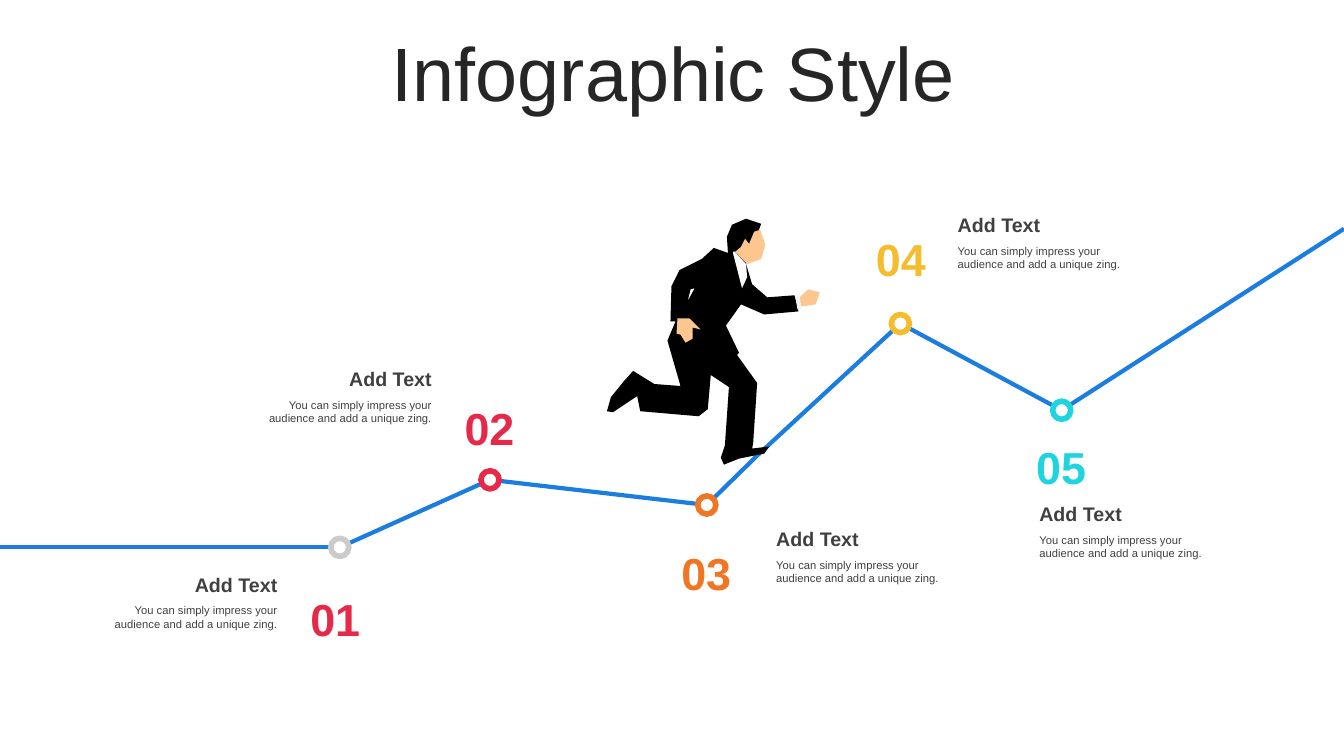
from dataclasses import dataclass
from itertools import pairwise

from lxml import etree
from pptx import Presentation
from pptx.dml.color import RGBColor
from pptx.enum.shapes import MSO_CONNECTOR, MSO_SHAPE
from pptx.enum.text import MSO_ANCHOR, MSO_AUTO_SIZE, PP_ALIGN
from pptx.oxml.ns import qn
from pptx.util import Inches, Pt

LEFT, CENTER, RIGHT = PP_ALIGN.LEFT, PP_ALIGN.CENTER, PP_ALIGN.RIGHT
TOP, MIDDLE = MSO_ANCHOR.TOP, MSO_ANCHOR.MIDDLE
OVAL, STRAIGHT = MSO_SHAPE.OVAL, MSO_CONNECTOR.STRAIGHT
GROW = MSO_AUTO_SIZE.SHAPE_TO_FIT_TEXT


@dataclass(frozen=True)
class Theme:
    font: str = "Arial"
    title: str = "262626"
    text: str = "404040"
    route: str = "1C7DE1"
    white: str = "FFFFFF"
    gray: str = "CBCBCB"
    red: str = "E62949"
    orange: str = "F07624"
    yellow: str = "F4BD2D"
    cyan: str = "1ED4DE"
    suit: str = "000000"
    skin: str = "FDC68E"
    cuff: str = "F2F2F2"
    shirt: str = "FDFDFD"
    title_size: int = 54
    number_size: int = 32
    heading_size: int = 14
    body_size: int = 8
    route_width: int = 3
    marker_width: int = 4


THEME = Theme()
MARKER = 0.18

# Steps: number, marker colour, number colour, marker centre, number and caption corners, alignment
STEPS = [
    ("01", THEME.gray, THEME.red, (3.37, 5.43), (2.92, 5.82), (0.96, 5.63), RIGHT),
    ("02", THEME.red, THEME.red, (4.86, 4.76), (4.45, 3.92), (2.49, 3.59), RIGHT),
    ("03", THEME.orange, THEME.orange, (7.01, 5.01), (6.6, 5.36), (7.6, 5.18), LEFT),
    ("04", THEME.yellow, THEME.yellow, (8.93, 3.21), (8.53, 2.25), (9.4, 2.06), LEFT),
    ("05", THEME.cyan, THEME.cyan, (10.53, 4.07), (10.12, 4.31), (10.21, 4.93), LEFT),
]
HEADING = "Add Text"
BODY = "You can simply impress your audience and add a unique zing."

# The route runs through the marker centres and bends under the runner's front foot
CENTRES = [step[3] for step in STEPS]
ROUTE = [(0, 5.43), *CENTRES[:3], (7.52, 4.51), *CENTRES[3:], (13.33, 2.27)]

# Runner outlines, in hundredths of an inch
SUIT = [
    (788, 293), (761, 295), (746, 282), (740, 262), (755, 222), (740, 217),
    (726, 223), (721, 235), (722, 251), (708, 246), (696, 257), (674, 268),
    (666, 284), (665, 319), (670, 319), (662, 338), (675, 383), (649, 381),
    (628, 368), (619, 378), (606, 394), (602, 408), (608, 409), (632, 393),
    (635, 408), (693, 413), (702, 406), (705, 372), (723, 384), (719, 442),
    (715, 454), (718, 461), (733, 455), (758, 450), (763, 443), (746, 445),
    (747, 440), (751, 380), (731, 352), (733, 350), (720, 323), (735, 302),
    (758, 312), (792, 309),
]
ARM_GAP = [(682, 299), (685, 287), (689, 286)]
FRONT_HAND = [(792, 296), (802, 287), (813, 290), (809, 302), (795, 304)]
CUFF = [(789, 294), (793, 293), (795, 306), (791, 307)]
HEAD = [
    (729, 250), (735, 245), (739, 237), (743, 242), (748, 230), (754, 228),
    (759, 243), (755, 257), (741, 262),
]
SHIRT = [(728, 249), (740, 262), (741, 275), (736, 286), (727, 251)]
BACK_HAND = [
    (672, 316), (684, 316), (695, 327), (687, 325), (687, 336), (680, 340),
    (675, 332), (671, 331),
]
RUNNER = [
    (THEME.suit, [SUIT, ARM_GAP]), (THEME.skin, [FRONT_HAND]),
    (THEME.cuff, [CUFF]), (THEME.skin, [HEAD]),
    (THEME.shirt, [SHIRT]), (THEME.skin, [BACK_HAND]),
]


class Canvas:
    def __init__(self, slide, theme):
        self.shapes, self.theme = slide.shapes, theme

    def text(self, content, box, size, color, align=LEFT, bold=False, anchor=TOP, grow=True):
        frame = self.shapes.add_textbox(*map(Inches, box)).text_frame
        frame.word_wrap = True
        frame.vertical_anchor = anchor
        if grow:
            frame.auto_size = GROW
        paragraph = frame.paragraphs[0]
        paragraph.text = content
        paragraph.alignment = align
        font = paragraph.font
        font.name, font.size, font.bold = self.theme.font, Pt(size), bold
        font.color.rgb = RGBColor.from_string(color)
        return paragraph

    def segment(self, start, end):
        connector = self.shapes.add_connector(STRAIGHT, *map(Inches, (*start, *end)))
        connector.line.color.rgb = RGBColor.from_string(self.theme.route)
        connector.line.width = Pt(self.theme.route_width)
        etree.SubElement(connector._element.spPr, qn("a:effectLst"))

    def fill(self, shape, color):
        shape.shadow.inherit = False
        shape.fill.solid()
        shape.fill.fore_color.rgb = RGBColor.from_string(color)

    def marker(self, centre, color):
        corner = [value - MARKER / 2 for value in centre]
        ring = self.shapes.add_shape(OVAL, *map(Inches, (*corner, MARKER, MARKER)))
        self.fill(ring, self.theme.white)
        ring.line.color.rgb = RGBColor.from_string(color)
        ring.line.width = Pt(self.theme.marker_width)

    def outline(self, contours, color):
        builder = self.shapes.build_freeform(*contours[0][0], scale=Inches(1) / 100)
        builder.add_line_segments(contours[0][1:])
        for contour in contours[1:]:
            builder.move_to(*contour[0])
            builder.add_line_segments(contour[1:])
        shape = builder.convert_to_shape()
        self.fill(shape, color)
        shape.line.fill.background()


def main():
    deck = Presentation()
    deck.slide_width, deck.slide_height = Inches(13.33), Inches(7.5)
    canvas = Canvas(deck.slides.add_slide(deck.slide_layouts[6]), THEME)

    # Title
    title = canvas.text("Infographic Style", (0.35, 0.37, 12.66, 0.79), THEME.title_size,
                        THEME.title, CENTER, anchor=MIDDLE, grow=False)
    title.line_spacing = 0.9

    # Route
    for start, end in pairwise(ROUTE):
        canvas.segment(start, end)

    # Steps with marker, number and caption
    for number, ring_color, number_color, centre, number_at, (x, y), align in STEPS:
        canvas.marker(centre, ring_color)
        canvas.text(number, (*number_at, 0.81, 0.64), THEME.number_size,
                    number_color, CENTER, bold=True, anchor=MIDDLE)
        canvas.text(HEADING, (x, y, 1.89, 0.34), THEME.heading_size, THEME.text, align, bold=True)
        canvas.text(BODY, (x, y + 0.31, 1.89, 0.37), THEME.body_size, THEME.text, align)

    # Runner
    for color, contours in RUNNER:
        canvas.outline(contours, color)

    deck.save("out.pptx")


if __name__ == "__main__":
    main()
